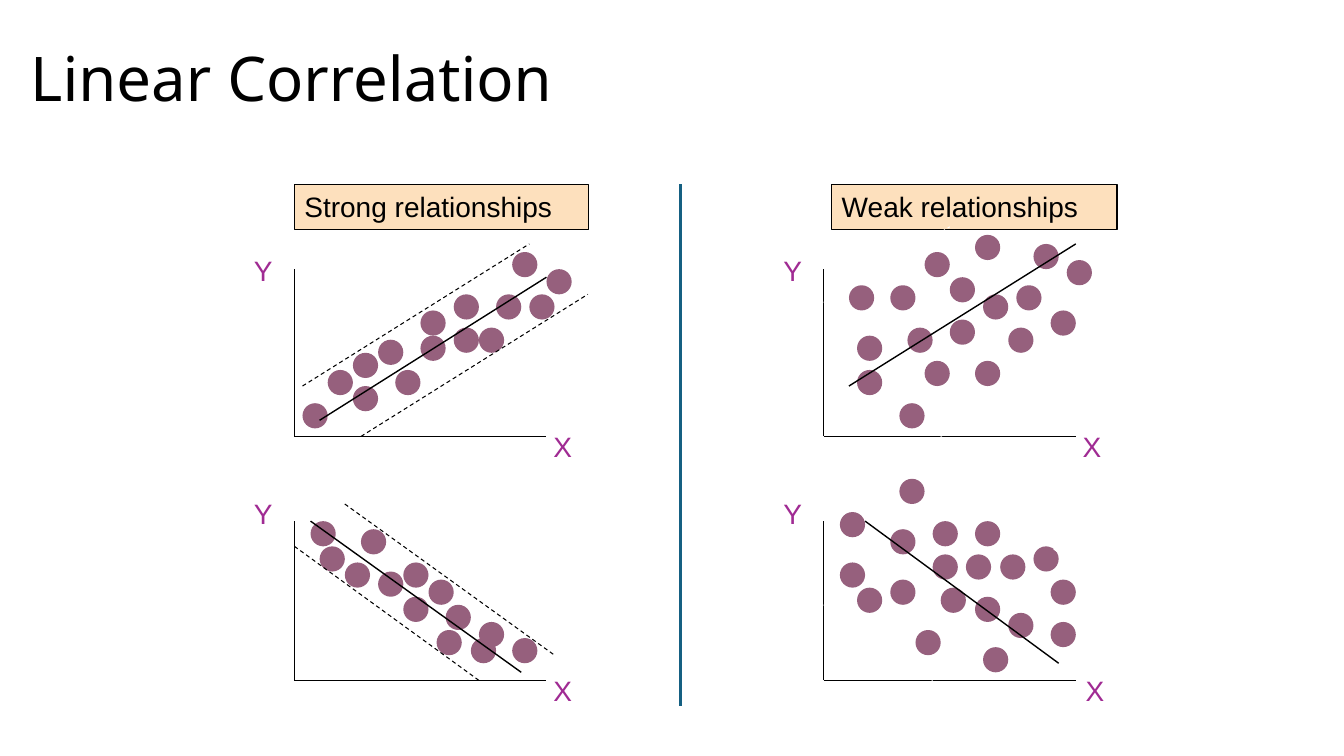
import pptx
import pptx.util
import pptx.dml.color
import pptx.enum.dml
import pptx.enum.shapes
import pptx.enum.text
import pptx.oxml.ns
from lxml import etree
from pptx.util import Inches

BLACK = "000000"
WHITE = "FFFFFF"
PURPLE = "A02B93"
DOT = "96607D"
PEACH = "FDE0BD"
TEAL = "156082"
DOT_SIZE = 0.25
AXIS_LENGTH = 2.5
AXIS_BOTTOMS = {"upper": 4.33, "lower": 6.75}

STRONG_RISING = [
    (3, 4), (3.25, 3.67), (5.08, 2.5), (5.25, 2.92), (3.5, 3.83),
    (5.42, 2.67), (4.5, 3.25), (4.5, 2.92), (4.92, 2.92), (4.17, 3.08),
    (3.5, 3.5), (3.75, 3.37), (4.75, 3.25), (4.17, 3.33), (3.92, 3.67),
]
STRONG_FALLING = [
    (4.67, 6.33), (3.17, 5.42), (5.08, 6.33), (3.58, 5.25), (4.42, 6),
    (4.75, 6.17), (4, 5.58), (3.08, 5.17), (3.42, 5.58), (3.75, 5.67),
    (4.33, 6.25), (4.25, 5.75), (4, 5.92),
]
WEAK_RISING = [
    (9.42, 2.75), (8.5, 3.67), (9.67, 3.58), (10.08, 2.83), (8.83, 2.83),
    (8.92, 4), (9.17, 3.58), (9.75, 2.92), (9.17, 2.5), (8.5, 3.33),
    (8.42, 2.83), (9, 3.25), (10, 3.25), (9.42, 3.17), (9.67, 2.33),
    (10.58, 2.58), (10.42, 3.08), (10.25, 2.42),
]
WEAK_FALLING = [
    (8.33, 5.58), (8.33, 5.08), (8.83, 5.75), (9.75, 6.42), (8.5, 5.83),
    (9.25, 5.17), (9.67, 5.92), (9.58, 5.5), (9.25, 5.5), (8.83, 5.25),
    (9.92, 5.5), (9.33, 5.83), (9.08, 6.25), (10, 6.08), (10.42, 5.75),
    (10.25, 5.42), (10.42, 6.17), (9.67, 5.17), (8.92, 4.75),
]


def rgb(color):
    return pptx.dml.color.RGBColor.from_string(color)


def format_text(sp, size, font, color):
    for p in sp.text_frame.paragraphs:
        for r in p.runs:
            r.font.size = pptx.util.Pt(size)
            r.font.name = font
            r.font.color.rgb = rgb(color)


def add_title(s, text):
    sp = s.shapes.title
    sp.left, sp.top = Inches(0.2), Inches(0.38)
    sp.width, sp.height = Inches(11.5), Inches(0.85)
    tf = sp.text_frame
    tf.text = text
    tf.vertical_anchor = pptx.enum.text.MSO_ANCHOR.MIDDLE
    p = tf.paragraphs[0]
    p.alignment = pptx.enum.text.PP_ALIGN.LEFT
    p.line_spacing = 0.9
    format_text(sp, 44, "Noto Sans", BLACK)


def add_line(s, start, end, color=BLACK, width=1, dashed=False):
    line = s.shapes.add_connector(
        pptx.enum.shapes.MSO_CONNECTOR.STRAIGHT,
        *(Inches(v) for v in (*start, *end)))
    line.line.color.rgb = rgb(color)
    line.line.width = pptx.util.Pt(width)
    if dashed:
        line.line.dash_style = pptx.enum.dml.MSO_LINE.DASH
    sp_pr = line._element.spPr
    etree.SubElement(sp_pr, pptx.oxml.ns.qn("a:effectLst"))


def add_shape(s, kind, left, top, width, height, fill):
    sp = s.shapes.add_shape(
        kind, Inches(left), Inches(top), Inches(width), Inches(height))
    sp.shadow.inherit = False
    sp.fill.solid()
    sp.fill.fore_color.rgb = rgb(fill)
    sp.line.fill.background()
    return sp


def add_heading(s, left, width, text):
    sp = add_shape(s, pptx.enum.shapes.MSO_SHAPE.RECTANGLE,
                   left, 1.83, width, 0.45, PEACH)
    sp.line.color.rgb = rgb(BLACK)
    sp.line.width = pptx.util.Pt(1)
    tf = sp.text_frame
    tf.text = text
    tf.word_wrap = True
    tf.vertical_anchor = pptx.enum.text.MSO_ANCHOR.TOP
    tf.paragraphs[0].alignment = pptx.enum.text.PP_ALIGN.LEFT
    format_text(sp, 20, "Arial", BLACK)


def add_axis_label(s, left, top, text):
    sp = s.shapes.add_textbox(
        Inches(left), Inches(top), Inches(0.39), Inches(0.43))
    tf = sp.text_frame
    tf.text = text
    tf.word_wrap = False
    tf.auto_size = pptx.enum.text.MSO_AUTO_SIZE.SHAPE_TO_FIT_TEXT
    format_text(sp, 20, "Arial", PURPLE)


def add_scatter(s, left, row, dots, trend, band, band_color, x_label=2.47):
    bottom = AXIS_BOTTOMS[row]
    top, y_label = (2.67, 2.47) if row == "upper" else (5.17, 4.88)
    add_line(s, (left, top), (left, bottom))
    add_line(s, (left, bottom), (left + AXIS_LENGTH, bottom))
    add_axis_label(s, left - 0.5, y_label, "Y")
    add_axis_label(s, left + x_label, bottom - 0.12, "X")
    for x, y in dots:
        add_shape(s, pptx.enum.shapes.MSO_SHAPE.OVAL,
                  x, y, DOT_SIZE, DOT_SIZE, DOT)
    for start, end in band:
        add_line(s, start, end, band_color, 0.75, dashed=True)
    add_line(s, *trend)


def main():
    prs = pptx.Presentation()
    prs.slide_width, prs.slide_height = Inches(13.33), Inches(7.5)
    s = prs.slides.add_slide(prs.slide_layouts[5])
    add_title(s, "Linear Correlation")
    add_heading(s, 2.92, 2.92, "Strong relationships")
    add_heading(s, 8.25, 2.83, "Weak relationships")
    add_line(s, (6.75, 1.83), (6.75, 7), TEAL, 2.25)
    add_scatter(s, 2.92, "upper", STRONG_RISING,
                ((3.17, 4.17), (5.42, 2.75)),
                [((3, 3.83), (5.25, 2.42)), ((3.58, 4.33), (5.83, 2.92))],
                BLACK)
    add_scatter(s, 2.92, "lower", STRONG_FALLING,
                ((3.08, 5.17), (5.17, 6.67)),
                [((3.42, 5), (5.5, 6.5)), ((2.92, 5.42), (4.75, 6.75))],
                BLACK)
    add_scatter(s, 8.17, "upper", WEAK_RISING,
                ((8.42, 3.83), (10.67, 2.42)),
                [((8.17, 3), (9.42, 2.25)), ((9.33, 4.33), (11.17, 3.17))],
                WHITE)
    add_scatter(s, 8.17, "lower", WEAK_FALLING,
                ((8.58, 5.17), (10.5, 6.58)),
                [((9.42, 4.67), (11.08, 5.92)), ((8.17, 6), (9.25, 6.75))],
                WHITE, x_label=2.5)
    prs.save("out.pptx")


if __name__ == "__main__":
    main()
